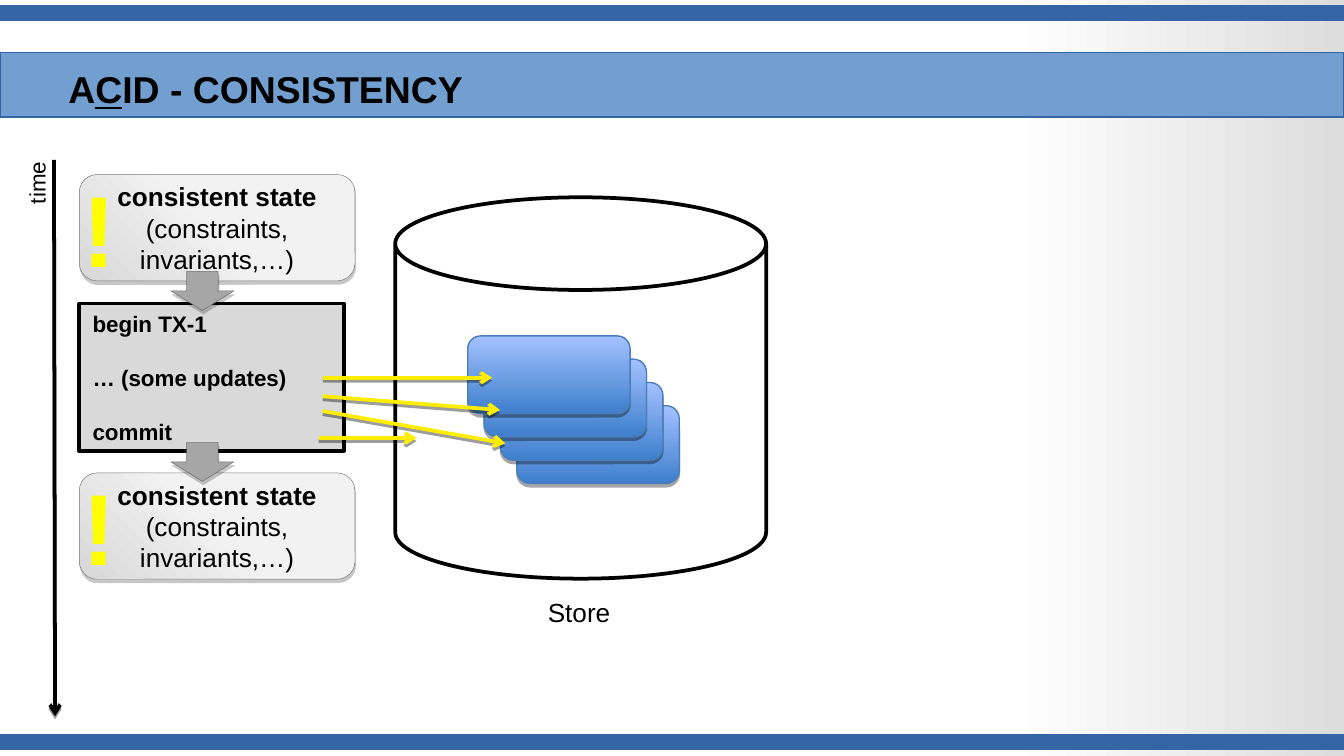
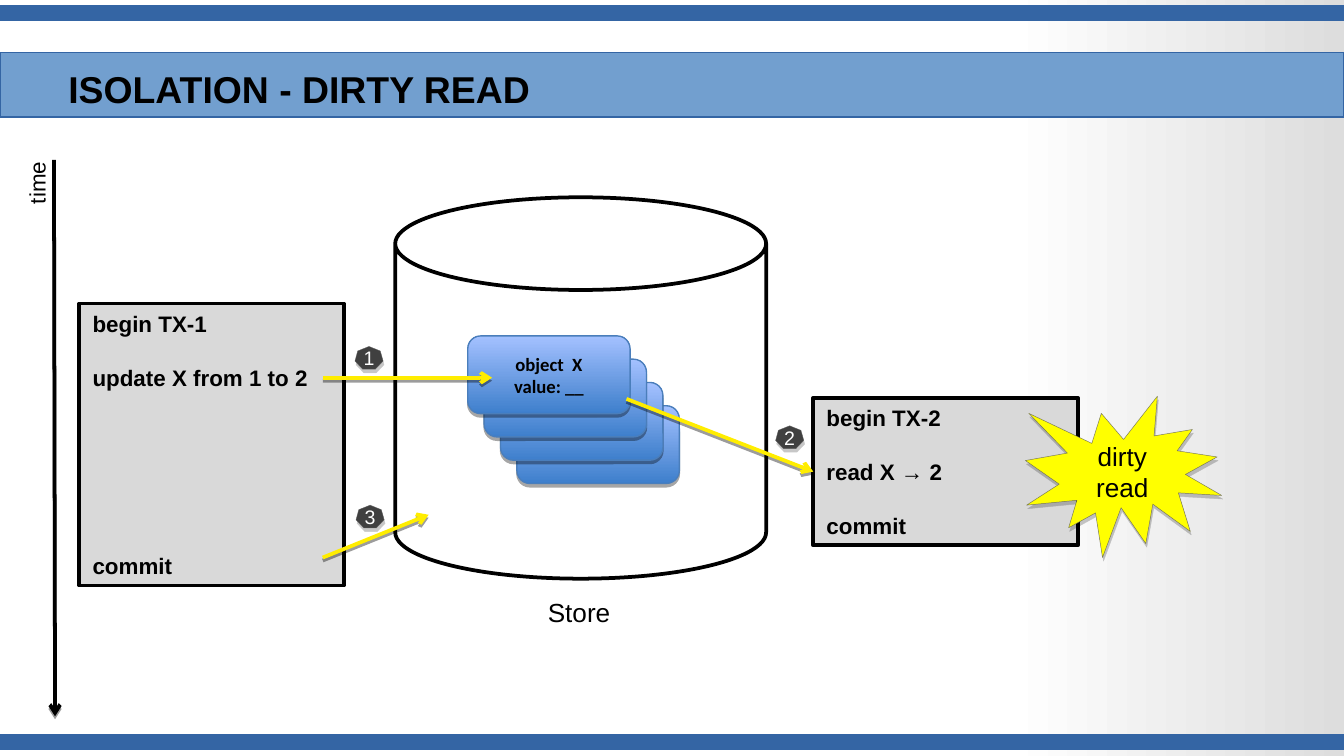
from dataclasses import dataclass
from typing import NamedTuple, Optional

from lxml.etree import SubElement
from pptx import Presentation
from pptx.dml.color import RGBColor
from pptx.enum.shapes import MSO_CONNECTOR, MSO_SHAPE as SHAPE
from pptx.enum.text import MSO_ANCHOR as ANCHOR, PP_ALIGN as ALIGN
from pptx.oxml.ns import qn
from pptx.util import Cm, Pt

BAR, BAND = "3465A4", "729FCF"
BLACK, WHITE, YELLOW, ARROW = "000000", "FFFFFF", "FFFF00", "FFED00"
TX_FILL, BADGE, DOWN_ARROW, THIN = "D9D9D9", "404040", "A6A6A6", "595959"
LINE_PITCH = 14.4  # points per 12 pt line


class Box(NamedTuple):
    left: float
    top: float
    width: float
    height: float

    def cm(self) -> list:
        return [Cm(v) for v in self]


class Run(NamedTuple):
    text: str
    bold: Optional[bool] = None
    underline: bool = False


class Gradient(NamedTuple):
    """Two (position, colour) stops and a counter-clockwise angle."""
    start: tuple
    end: tuple
    angle: float


class Shadow(NamedTuple):
    alpha: int
    dist: float
    angle: int


class Outline(NamedTuple):
    color: str
    width: float
    alpha: int = 100


@dataclass(frozen=True)
class Look:
    fill: "str | Gradient"
    outline: Outline
    shadow: Optional[Shadow] = None


@dataclass(frozen=True)
class Arrow:
    start: tuple
    end: tuple
    color: str = ARROW


@dataclass(frozen=True)
class Transaction:
    box: Box
    lines: tuple
    gaps: tuple = (0, 1, 1)


PAGE = Gradient((0.75, WHITE), (1, "DDDDDD"), 0)
SOFT, THIN_LINE = Shadow(22, 2, 74), Outline(THIN, 0.25, 78)
ARROW_SHADOW = Shadow(38, 1.6, 90)
BLOCK = Outline(BLACK, 2)
STORE = Look(WHITE, BLOCK)
TX = Look(TX_FILL, BLOCK)
RECORD = Look(Gradient((0, "3E7FCC"), (1, "A4C1FF"), 90),
              Outline("4A7EBB", 0.75), Shadow(35, 1.8, 90))
STATE = Look(Gradient((0.5, "F2F2F2"), (1, "D8D8D8"), 225), THIN_LINE, SOFT)

BANDS = (
    (Box(0, 0.99, 25.4, 1.22), BAND),
    (Box(0, 13.89, 25.4, 0.28), BAR),
    (Box(0, 0.1, 25.4, 0.28), BAR),
)
TX1_BOX = Box(1.5, 5.74, 5, 2.79)
UPDATE = Arrow((6.1, 7.14), (9.3, 7.14))


def rgb(color: str) -> RGBColor:
    return RGBColor.from_string(color)


def set_fill(fill, paint) -> None:
    if isinstance(paint, str):
        fill.solid()
        fill.fore_color.rgb = rgb(paint)
        return
    fill.gradient()
    fill.gradient_angle = paint.angle
    for stop, (position, color) in zip(fill.gradient_stops, (paint.start, paint.end)):
        stop.position = position
        stop.color.rgb = rgb(color)


def set_alpha(color_el, percent: int) -> None:
    SubElement(color_el, qn("a:alpha")).set("val", str(percent * 1000))


def set_line(s, outline: Outline) -> None:
    s.line.color.rgb = rgb(outline.color)
    s.line.width = Pt(outline.width)
    if outline.alpha < 100:
        ln = s.element.spPr.find(qn("a:ln"))
        set_alpha(next(ln.iter(qn("a:srgbClr"))), outline.alpha)


def set_shadow(s, shadow: Shadow) -> None:
    sp_pr = s.element.spPr
    effects = sp_pr.find(qn("a:effectLst"))
    if effects is None:
        effects = SubElement(sp_pr, qn("a:effectLst"))
    outer = SubElement(effects, qn("a:outerShdw"), blurRad="0",
                       dist=str(int(Pt(shadow.dist))),
                       dir=str(shadow.angle * 60000), rotWithShape="0")
    color = SubElement(outer, qn("a:srgbClr"), val=BLACK)
    set_alpha(color, shadow.alpha)


def set_margins(s, x: float, y: float) -> None:
    tf = s.text_frame
    tf.margin_left = tf.margin_right = Cm(x)
    tf.margin_top = tf.margin_bottom = Cm(y)


def put_text(s, *paras, size=12, bold=False, color=BLACK, font="Arial",
             align=ALIGN.LEFT, anchor=ANCHOR.TOP, wrap=True, gaps=()) -> None:
    """Write paragraphs (a string or a list of runs); gaps are in lines."""
    tf = s.text_frame
    tf.word_wrap = wrap
    tf.vertical_anchor = anchor
    for i, para in enumerate(paras):
        p = tf.add_paragraph() if i else tf.paragraphs[0]
        p.alignment = align
        if gaps:
            p.space_before = Pt(gaps[i] * LINE_PITCH)
        for piece in [Run(para)] if isinstance(para, str) else para:
            r = p.add_run()
            r.text = piece.text
            r.font.name, r.font.size = font, Pt(size)
            r.font.bold = bold if piece.bold is None else piece.bold
            r.font.underline = piece.underline
            r.font.color.rgb = rgb(color)


def add_block(shapes, kind: SHAPE, box: Box, look: Look):
    s = shapes.add_shape(kind, *box.cm())
    s.shadow.inherit = False
    set_fill(s.fill, look.fill)
    set_line(s, look.outline)
    if look.shadow:
        set_shadow(s, look.shadow)
    return s


def add_label(shapes, box: Box, text: str, **style):
    s = shapes.add_textbox(*box.cm())
    put_text(s, text, **style)
    return s


def add_arrow(shapes, arrow: Arrow):
    c = shapes.add_connector(MSO_CONNECTOR.STRAIGHT,
                             *[Cm(v) for v in arrow.start + arrow.end])
    set_line(c, Outline(arrow.color, 2))
    SubElement(c.element.spPr.find(qn("a:ln")), qn("a:tailEnd"), type="arrow")
    set_shadow(c, ARROW_SHADOW)
    return c


def add_transaction(shapes, tx: Transaction):
    s = add_block(shapes, SHAPE.RECTANGLE, tx.box, TX)
    put_text(s, *tx.lines, bold=True, gaps=tx.gaps)
    return s


def add_state(shapes, top: float) -> None:
    group = shapes.add_group_shape().shapes
    s = add_block(group, SHAPE.ROUNDED_RECTANGLE, Box(1.5, top, 5.21, 2.01), STATE)
    put_text(s, [Run("consistent state", bold=True)], "(constraints, invariants,…)",
             size=14, align=ALIGN.CENTER, anchor=ANCHOR.MIDDLE)
    add_label(group, Box(1.3, top - 0.28, 1.14, 2.54), "!", size=54, bold=True,
              color=YELLOW, align=ALIGN.CENTER, wrap=False)


def add_badge(shapes, left: float, top: float, text: str) -> None:
    s = add_block(shapes, SHAPE.HEPTAGON, Box(left, top, 0.53, 0.43),
                  Look(BADGE, THIN_LINE, SOFT))
    set_margins(s, 0, 0)
    put_text(s, text, size=10.5, color=WHITE, align=ALIGN.CENTER, anchor=ANCHOR.MIDDLE)


def add_store(shapes):
    """Draw the store with its stack of records and return the front record."""
    add_block(shapes, SHAPE.CAN, Box(7.47, 3.73, 7.01, 7.21), STORE)
    for i in (3, 2, 1, 0):
        record = add_block(shapes, SHAPE.ROUNDED_RECTANGLE,
                           Box(8.84 + 0.31 * i, 6.35 + 0.44 * i, 3.07, 1.47), RECORD)
    add_label(shapes, Box(9.04, 11.15, 3.81, 0.84), "Store", size=14, align=ALIGN.CENTER)
    return record


def add_time_axis(shapes) -> None:
    add_arrow(shapes, Arrow((1.02, 3.02), (1.04, 13.54), BLACK))
    add_label(shapes, Box(-0.08, 2.95, 1.55, 0.76), "time").rotation = 270


def style_layout(prs, layout) -> None:
    """Give the layout the page gradient and the bands."""
    set_fill(layout.background.fill, PAGE)
    scratch = prs.slides[0].shapes
    for i, (box, color) in enumerate(BANDS):
        s = add_block(scratch, SHAPE.RECTANGLE, box, Look(color, Outline(BAR, 0)))
        layout.shapes.element.insert(2 + i, s.element)


def add_slide(prs, layout, title: list):
    slide = prs.slides.add_slide(layout)
    s = slide.shapes.title
    s.left, s.top, s.width, s.height = Box(1.09, 0.89, 19.23, 1.65).cm()
    put_text(s, title, size=20, bold=True, anchor=ANCHOR.MIDDLE)
    set_margins(s, 0.2, 0.1)
    s.text_frame.paragraphs[0].line_spacing = 0.95
    return slide.shapes


def build_consistency(shapes) -> None:
    add_store(shapes)
    add_transaction(shapes, Transaction(
        TX1_BOX, ("begin TX-1", "… (some updates)", "commit")))
    add_time_axis(shapes)
    for top in (8.94, 3.3):
        add_state(shapes, top)
    for top in (5.13, 8.36):
        add_block(shapes, SHAPE.DOWN_ARROW, Box(3.23, top, 1.19, 0.74),
                  Look(DOWN_ARROW, THIN_LINE, SOFT))
    for arrow in (UPDATE, Arrow((6.02, 8.28), (7.87, 8.28)),
                  Arrow((6.1, 7.49), (9.45, 7.75)), Arrow((6.1, 7.77), (9.55, 8.38))):
        add_arrow(shapes, arrow)


def build_dirty_read(shapes) -> None:
    record = add_store(shapes)
    put_text(record, "object  X", "value: __", size=10, bold=True, font="Calibri",
             align=ALIGN.CENTER, anchor=ANCHOR.MIDDLE)
    add_transaction(shapes, Transaction(
        TX1_BOX._replace(height=5.33),
        ("begin TX-1", "update X from 1 to 2", "commit"), (0, 1, 6)))
    reader = add_transaction(shapes, Transaction(
        TX1_BOX._replace(left=15.37, top=7.52), ("begin TX-2", "read X → 2", "commit")))
    add_time_axis(shapes)
    for left, top, text in ((6.71, 6.55, "1"), (14.66, 8.05, "2"), (6.73, 9.55, "3")):
        add_badge(shapes, left, top, text)
    burst = add_block(shapes, SHAPE.EXPLOSION1, Box(19.38, 7.49, 3.71, 3.05),
                      Look(YELLOW, THIN_LINE, SOFT))
    put_text(burst, "dirty read", size=14, align=ALIGN.CENTER, anchor=ANCHOR.MIDDLE)
    add_arrow(shapes, Arrow((6.1, 10.54), (8.1, 9.73)))
    add_arrow(shapes, UPDATE)
    add_arrow(shapes, Arrow((11.84, 7.54), (15.37, 8.92))).end_connect(reader, 1)


def main() -> None:
    prs = Presentation()
    prs.slide_width, prs.slide_height = Cm(25.4), Cm(14.29)
    layout = prs.slide_layouts[5]
    consistency = add_slide(prs, layout,
                            [Run("A"), Run("C", underline=True), Run("ID - CONSISTENCY")])
    style_layout(prs, layout)
    build_consistency(consistency)
    build_dirty_read(add_slide(prs, layout, [Run("ISOLATION - DIRTY READ")]))
    prs.save("out.pptx")


if __name__ == "__main__":
    main()
